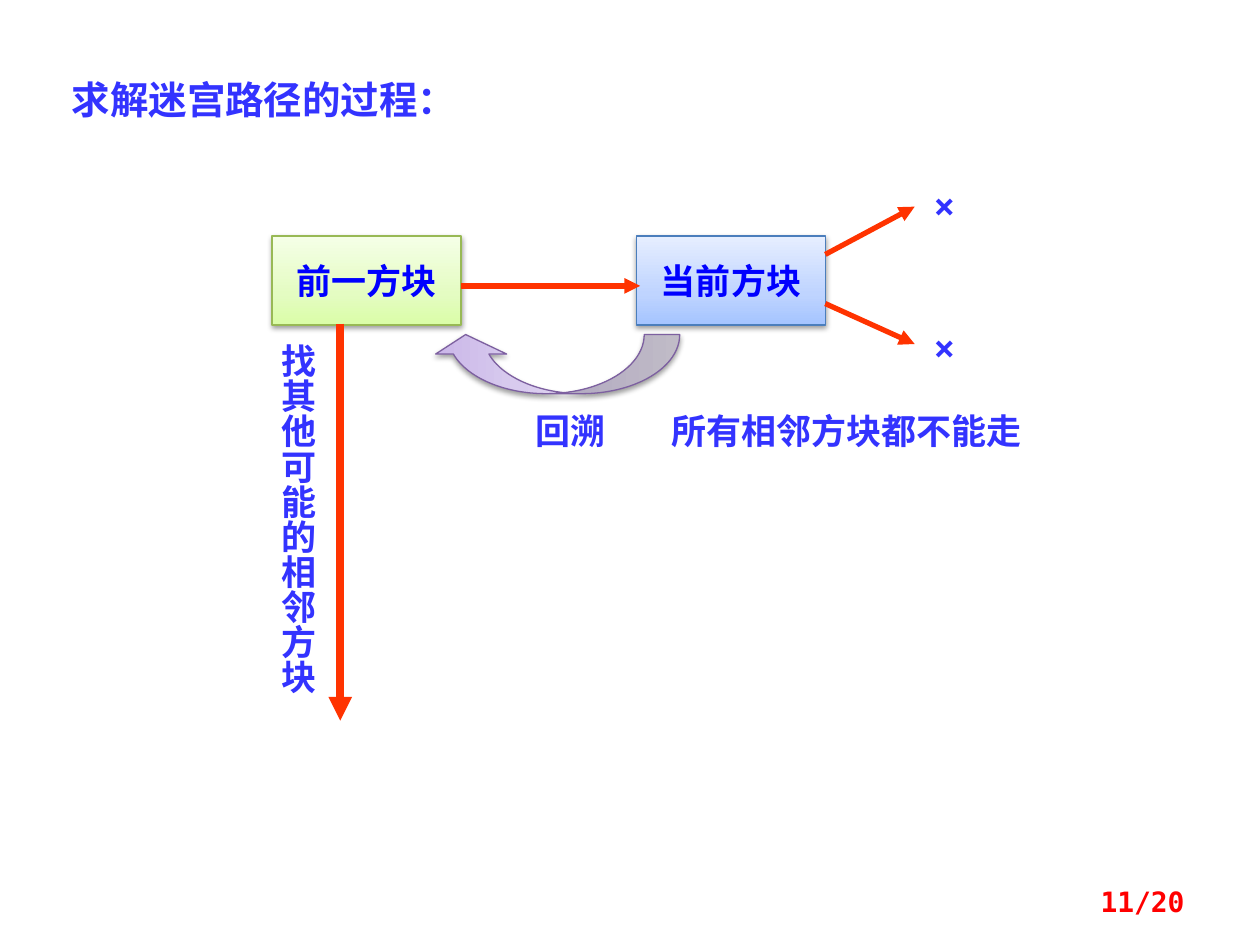
from typing import NamedTuple

from lxml.etree import SubElement
from pptx import Presentation
from pptx.dml.color import RGBColor
from pptx.enum.shapes import MSO_CONNECTOR as Connector, MSO_SHAPE as Preset
from pptx.enum.text import MSO_ANCHOR as Anchor, MSO_AUTO_SIZE as AutoSize, PP_ALIGN as Align
from pptx.oxml.ns import qn
from pptx.util import Pt

FONT = "DejaVu Sans Mono"
COLORS = {
    "label": "3333FF",
    "block": "0000FF",
    "arrow": "FF3300",
    "page": "FF0000",
    "shadow": "000000",
    "green line": "98B955",
    "blue line": "4B7EBC",
    "purple line": "7D60A0",
}
GRADIENTS = {
    "green": ("DAFDA7", "E4FCC2", "F5FFE7"),
    "blue": ("A4C4FF", "BFD4FF", "E6EEFF"),
    "purple": ("C9B5E8", "D8CBEE", "F0EAF9"),
}
STOPS = (0, 35, 100)


class Box(NamedTuple):
    left: float
    top: float
    width: float
    height: float


class Block(NamedTuple):
    text: str
    box: Box
    theme: str


class Arrow(NamedTuple):
    start: tuple[float, float]
    end: tuple[float, float]
    weight: float = 3


class Label(NamedTuple):
    text: str
    box: Box
    align: Align = Align.CENTER
    vertical: bool = False


BLOCKS = [
    Block("前一方块", Box(155.5, 134.8, 108, 51), "green"),
    Block("当前方块", Box(363.8, 134.8, 108, 51), "blue"),
]
ARROWS = [
    Arrow((471.6, 145.4), (522.7, 118.1)),
    Arrow((471.6, 173.5), (522.7, 196.6)),
    Arrow((263.5, 163.4), (365.8, 163.4)),
    Arrow((194.4, 185), (194.4, 411.8), 4.5),
]
BACKTRACK = Box(300.2, 136.8, 33.8, 142.6)
LABELS = [
    Label("×", Box(517, 101.5, 45.4, 31.5)),
    Label("×", Box(517, 182.2, 45.4, 31.5)),
    Label("回溯", Box(292.3, 230.4, 67.7, 31.5)),
    Label("找其他可能的相邻方块", Box(157.7, 196.6, 24.5, 255.6), vertical=True),
    Label("所有相邻方块都不能走", Box(376.6, 230.4, 225.4, 31.5), Align.LEFT),
]


def color(name: str) -> RGBColor:
    return RGBColor.from_string(COLORS[name])


def place(shape, box: Box) -> None:
    shape.left, shape.top, shape.width, shape.height = map(Pt, box)


def write(shape, text: str, size: float, color_name: str, align: Align) -> None:
    shape.text_frame.text = text
    paragraph = shape.text_frame.paragraphs[0]
    paragraph.alignment = align
    font = paragraph.font
    font.name, font.size, font.bold = FONT, Pt(size), True
    font.color.rgb = color(color_name)


def add_color(parent, value: str):
    return SubElement(parent, qn("a:srgbClr"), val=value)


def set_gradient(shape, theme: str) -> None:
    shape.fill.gradient()
    gradient = shape._element.spPr.find(qn("a:gradFill"))
    stop_list = gradient.find(qn("a:gsLst"))
    for stop in list(stop_list):
        stop_list.remove(stop)
    for position, value in zip(STOPS, GRADIENTS[theme]):
        add_color(SubElement(stop_list, qn("a:gs"), pos=str(position * 1000)), value)
    gradient.find(qn("a:lin")).set("ang", str(270 * 60000))


def set_shadow(shape) -> None:
    shape.shadow.inherit = False
    effects = shape._element.spPr.find(qn("a:effectLst"))
    shadow = SubElement(
        effects, qn("a:outerShdw"), blurRad=str(Pt(3.1)), dist=str(Pt(1.6)),
        dir=str(90 * 60000), rotWithShape="0",
    )
    SubElement(add_color(shadow, COLORS["shadow"]), qn("a:alpha"), val="38000")


def add_shaded_shape(slide, preset: Preset, box: Box, theme: str):
    shape = slide.shapes.add_shape(preset, *map(Pt, box))
    set_gradient(shape, theme)
    shape.line.color.rgb = color(f"{theme} line")
    shape.line.width = Pt(0.75)
    set_shadow(shape)
    return shape


def add_block(slide, block: Block) -> None:
    shape = add_shaded_shape(slide, Preset.RECTANGLE, block.box, block.theme)
    write(shape, block.text, 20, "block", Align.CENTER)
    shape.text_frame.vertical_anchor = Anchor.MIDDLE
    shape.text_frame.word_wrap = False


def add_arrow(slide, arrow: Arrow) -> None:
    connector = slide.shapes.add_connector(
        Connector.STRAIGHT, *map(Pt, arrow.start + arrow.end)
    )
    connector.line.color.rgb = color("arrow")
    connector.line.width = Pt(arrow.weight)
    SubElement(connector.line._get_or_add_ln(), qn("a:tailEnd"), type="triangle")
    SubElement(connector._element.spPr, qn("a:effectLst"))


def add_backtrack_arrow(slide) -> None:
    shape = add_shaded_shape(slide, Preset.CURVED_LEFT_ARROW, BACKTRACK, "purple")
    shape.rotation = 90
    for index, value in enumerate((0.6, 1.2, 0.33)):
        shape.adjustments[index] = value


def add_label(slide, label: Label) -> None:
    shape = slide.shapes.add_textbox(*map(Pt, label.box))
    write(shape, label.text, 20, "label", label.align)
    frame = shape.text_frame
    frame.word_wrap = True
    frame.auto_size = AutoSize.SHAPE_TO_FIT_TEXT
    if label.vertical:
        frame._txBody.bodyPr.set("vert", "eaVert")
        frame.margin_left = frame.margin_right = 0
        frame.margin_top = frame.margin_bottom = 0


def add_title(slide) -> None:
    title = slide.shapes.title
    place(title, Box(33.8, 39.6, 266.4, 33.8))
    write(title, "求解迷宫路径的过程：", 22, "label", Align.LEFT)
    title.text_frame.vertical_anchor = Anchor.TOP
    title.text_frame.auto_size = AutoSize.SHAPE_TO_FIT_TEXT


def add_page_number(slide) -> None:
    shape = slide.shapes.add_textbox(*map(Pt, Box(516.2, 500.4, 167.8, 28.8)))
    write(shape, "11/20", 16, "page", Align.RIGHT)
    shape.text_frame.word_wrap = True
    shape.text_frame.vertical_anchor = Anchor.MIDDLE


def main() -> None:
    presentation = Presentation()
    presentation.slide_width, presentation.slide_height = Pt(720), Pt(540)
    slide = presentation.slides.add_slide(presentation.slide_layouts[5])
    add_title(slide)
    for block in BLOCKS:
        add_block(slide, block)
    for arrow in ARROWS:
        add_arrow(slide, arrow)
    add_backtrack_arrow(slide)
    for label in LABELS:
        add_label(slide, label)
    add_page_number(slide)
    presentation.save("out.pptx")


if __name__ == "__main__":
    main()
